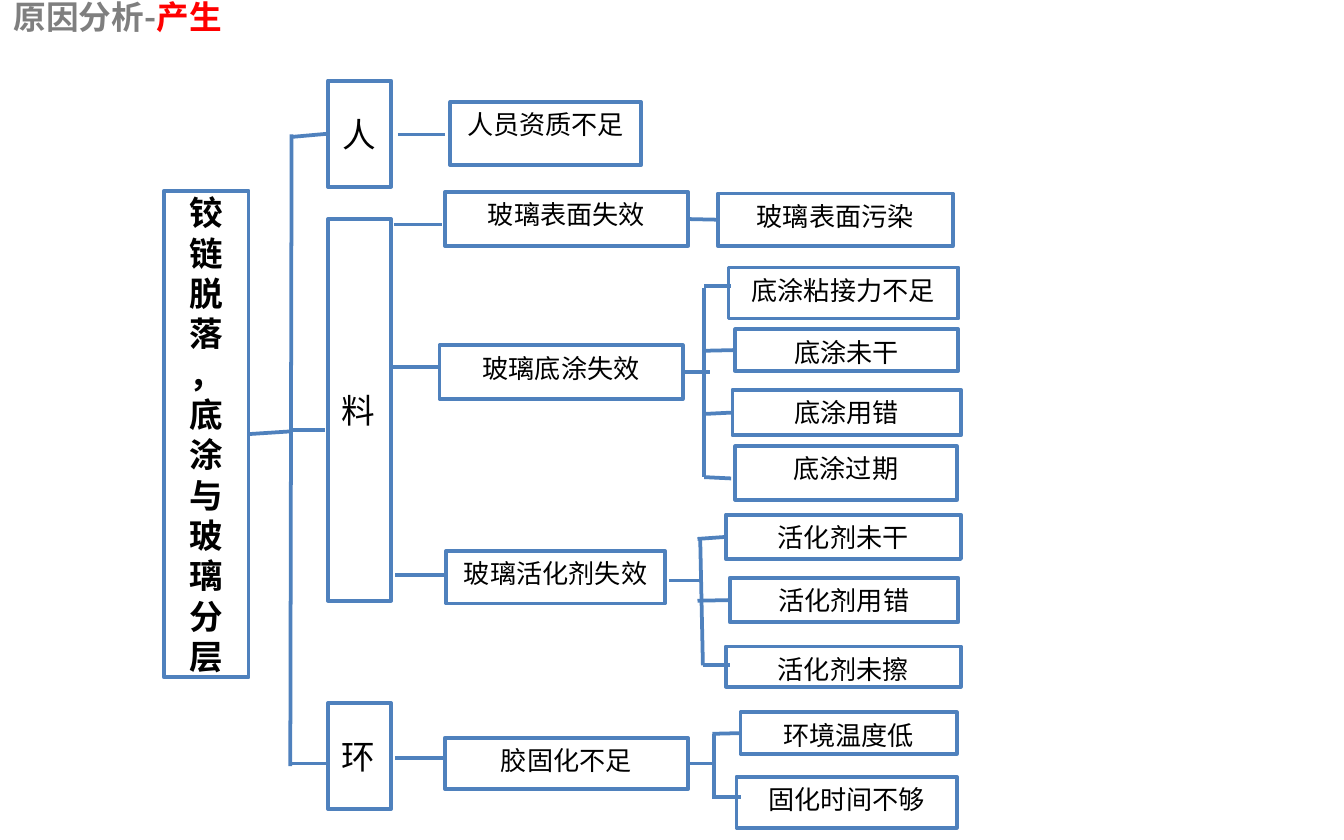
from dataclasses import dataclass
from typing import NamedTuple, Union

from lxml import etree
from pptx import Presentation
from pptx import util as u
from pptx.dml.color import RGBColor
from pptx.enum import shapes, text
from pptx.oxml import ns

COLUMNS, ROWS = 100, 62.5
LEFT, RIGHT = 1, 3


@dataclass(frozen=True)
class Theme:
    blue: RGBColor = RGBColor(0x4F, 0x81, 0xBD)
    white: RGBColor = RGBColor(0xFF, 0xFF, 0xFF)
    black: RGBColor = RGBColor(0, 0, 0)
    grey: RGBColor = RGBColor(0x7F, 0x7F, 0x7F)
    red: RGBColor = RGBColor(0xFF, 0, 0)
    cjk: str = "Noto Sans CJK SC"
    latin: str = "Calibri"
    arial: str = "Arial"
    title: float = 17.5
    branch: float = 18
    leaf: float = 14
    line: float = 2


T = Theme()


@dataclass(frozen=True)
class Box:
    lines: tuple[str, ...]
    col: float
    row: float
    cols: float
    rows: float
    size: float = T.leaf
    font: str = T.cjk
    bold: bool = False
    middle: bool = False
    centred: bool = True


class Point(NamedTuple):
    col: float
    row: float


class Side(NamedTuple):
    box: str
    site: int


class Link(NamedTuple):
    start: Union[Point, Side]
    end: Union[Point, Side]


def branch(name: str, row: float, rows: float, centred: bool = False) -> Box:
    return Box((name,), 24.4, row, 4.7, rows, T.branch, middle=True, centred=centred)


ROOT = "铰链脱落"
BOXES = [
    Box((ROOT, "，底涂与玻璃分层"), 12.2, 14.2, 6.3, 36.2, T.branch, T.latin, True, True),
    branch("人", 6, 7.9, centred=True),
    branch("料", 16.3, 28.4),
    branch("环", 52.3, 7.9),
    Box(("人员资质不足",), 33.5, 7.6, 14.2, 4.7),
    Box(("玻璃表面失效",), 33.1, 14.3, 18.1, 4),
    Box(("玻璃底涂失效",), 32.7, 25.7, 18.1, 4),
    Box(("玻璃活化剂失效",), 33.2, 41, 16.3, 3.9),
    Box(("胶固化不足",), 33.1, 54.9, 18.1, 3.8),
    Box(("玻璃表面污染",), 53.4, 14.4, 17.5, 3.9),
    Box(("底涂粘接力不足",), 54.2, 19.9, 17.1, 3.8, font=T.arial),
    Box(("底涂未干",), 54.7, 24.5, 16.6, 3.1),
    Box(("底涂用错",), 54.5, 29, 17, 3.4),
    Box(("底涂过期",), 54.7, 33.2, 16.5, 4),
    Box(("活化剂未干",), 54, 38.3, 17.5, 3.3),
    Box(("活化剂用错",), 54.3, 43, 17, 3.3),
    Box(("活化剂未擦",), 54, 48.1, 17.5, 3),
    Box(("环境温度低",), 55.1, 53, 16.1, 3.1),
    Box(("固化时间不够",), 54.8, 57.8, 16.4, 3.8),
]

LINKS = [
    Link(Point(21.7, 10), Point(21.6, 57)),
    Link(Side(ROOT, RIGHT), Point(21.6, 32.1)),
    Link(Point(21.6, 32), Point(24.2, 32)),
    Link(Point(21.6, 10.2), Side("人", LEFT)),
    Link(Point(21.6, 56.8), Point(24.4, 56.8)),
    Link(Point(29.6, 10), Point(33.1, 10)),
    Link(Point(29.3, 16.7), Point(32.9, 16.7)),
    Link(Point(29.1, 27.3), Point(32.7, 27.3)),
    Link(Point(29.4, 42.8), Point(33, 42.8)),
    Link(Point(29.4, 56.4), Point(33, 56.4)),
    Link(Side("玻璃表面失效", RIGHT), Side("玻璃表面污染", LEFT)),
    Link(Side("玻璃底涂失效", RIGHT), Point(52.8, 27.7)),
    Link(Point(52.4, 21.4), Point(52.4, 35.5)),
    Link(Point(52.4, 21.3), Point(54.4, 21.3)),
    Link(Point(52.4, 26.1), Side("底涂未干", LEFT)),
    Link(Point(52.4, 30.8), Side("底涂用错", LEFT)),
    Link(Point(52.4, 35.5), Point(54.4, 35.6)),
    Link(Point(49.8, 43.2), Point(52, 43.2)),
    Link(Point(52.1, 40.1), Point(52.3, 49.5)),
    Link(Point(51.9, 40.1), Side("活化剂未干", LEFT)),
    Link(Point(51.9, 44.7), Side("活化剂用错", LEFT)),
    Link(Point(52.3, 49.5), Point(54.3, 49.5)),
    Link(Side("胶固化不足", RIGHT), Point(53.3, 56.8)),
    Link(Point(53.1, 54.6), Point(53.1, 59.3)),
    Link(Point(53, 54.6), Side("环境温度低", LEFT)),
    Link(Point(53, 59.3), Point(55.1, 59.3)),
]

prs = Presentation()
prs.slide_width, prs.slide_height = u.Inches(10), u.Inches(6.25)


def x(cols: float) -> int:
    return round(prs.slide_width * cols / COLUMNS)


def y(rows: float) -> int:
    return round(prs.slide_height * rows / ROWS)


def add_run(p, words: str, size: float, font: str, color: RGBColor, bold: bool) -> None:
    r = p.add_run()
    r.text = words
    r.font.size, r.font.name, r.font.bold = u.Pt(size), font, bold
    r.font.color.rgb = color
    etree.SubElement(r.font._element, ns.qn("a:ea"), typeface=T.cjk)


def set_title(s) -> None:
    sp = s.shapes.title
    sp.left, sp.top, sp.width, sp.height = x(0), y(-0.2), x(77.6), y(4)
    tf = sp.text_frame
    tf.auto_size = text.MSO_AUTO_SIZE.NONE
    tf.vertical_anchor = text.MSO_ANCHOR.TOP
    p = tf.paragraphs[0]
    p.alignment, p.line_spacing, p.space_before = text.PP_ALIGN.LEFT, 0.8, u.Pt(0)
    add_run(p, "原因分析-", T.title, T.cjk, T.grey, True)
    add_run(p, "产生", T.title, T.cjk, T.red, True)


def add_box(s, box: Box):
    sp = s.shapes.add_shape(shapes.MSO_SHAPE.RECTANGLE,
                            x(box.col), y(box.row), x(box.cols), y(box.rows))
    sp.shadow.inherit = False
    sp.fill.solid()
    sp.fill.fore_color.rgb = T.white
    sp.line.color.rgb, sp.line.width = T.blue, u.Pt(T.line)
    tf = sp.text_frame
    tf.word_wrap = True
    tf.vertical_anchor = text.MSO_ANCHOR.MIDDLE if box.middle else text.MSO_ANCHOR.TOP
    for i, words in enumerate(box.lines):
        p = tf.add_paragraph() if i else tf.paragraphs[0]
        p.alignment = text.PP_ALIGN.CENTER if box.centred else text.PP_ALIGN.LEFT
        add_run(p, words, box.size, box.font, T.black, box.bold)
    return sp


def add_link(s, link: Link, boxes: dict) -> None:
    ends = [(x(e.col), y(e.row)) if isinstance(e, Point) else (0, 0) for e in link]
    c = s.shapes.add_connector(shapes.MSO_CONNECTOR.STRAIGHT, *ends[0], *ends[1])
    c.line.color.rgb, c.line.width = T.blue, u.Pt(T.line)
    etree.SubElement(c._element.spPr, ns.qn("a:effectLst"))
    for e, connect in zip(link, (c.begin_connect, c.end_connect)):
        if isinstance(e, Side):
            connect(boxes[e.box], e.site)


def main() -> None:
    s = prs.slides.add_slide(prs.slide_layouts[5])
    set_title(s)
    boxes = {box.lines[0]: add_box(s, box) for box in BOXES}
    for link in LINKS:
        add_link(s, link, boxes)
    prs.save("out.pptx")


if __name__ == "__main__":
    main()
